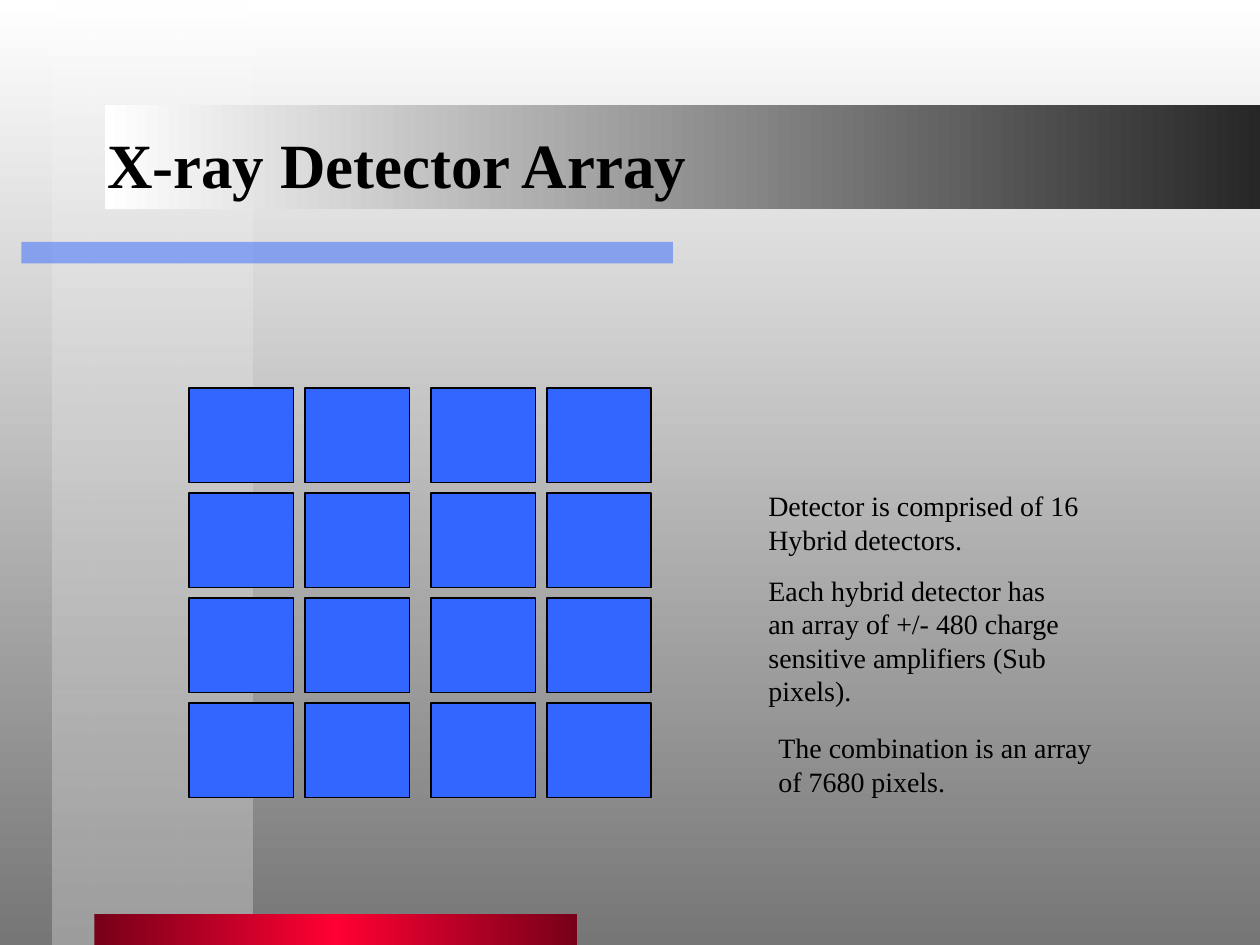
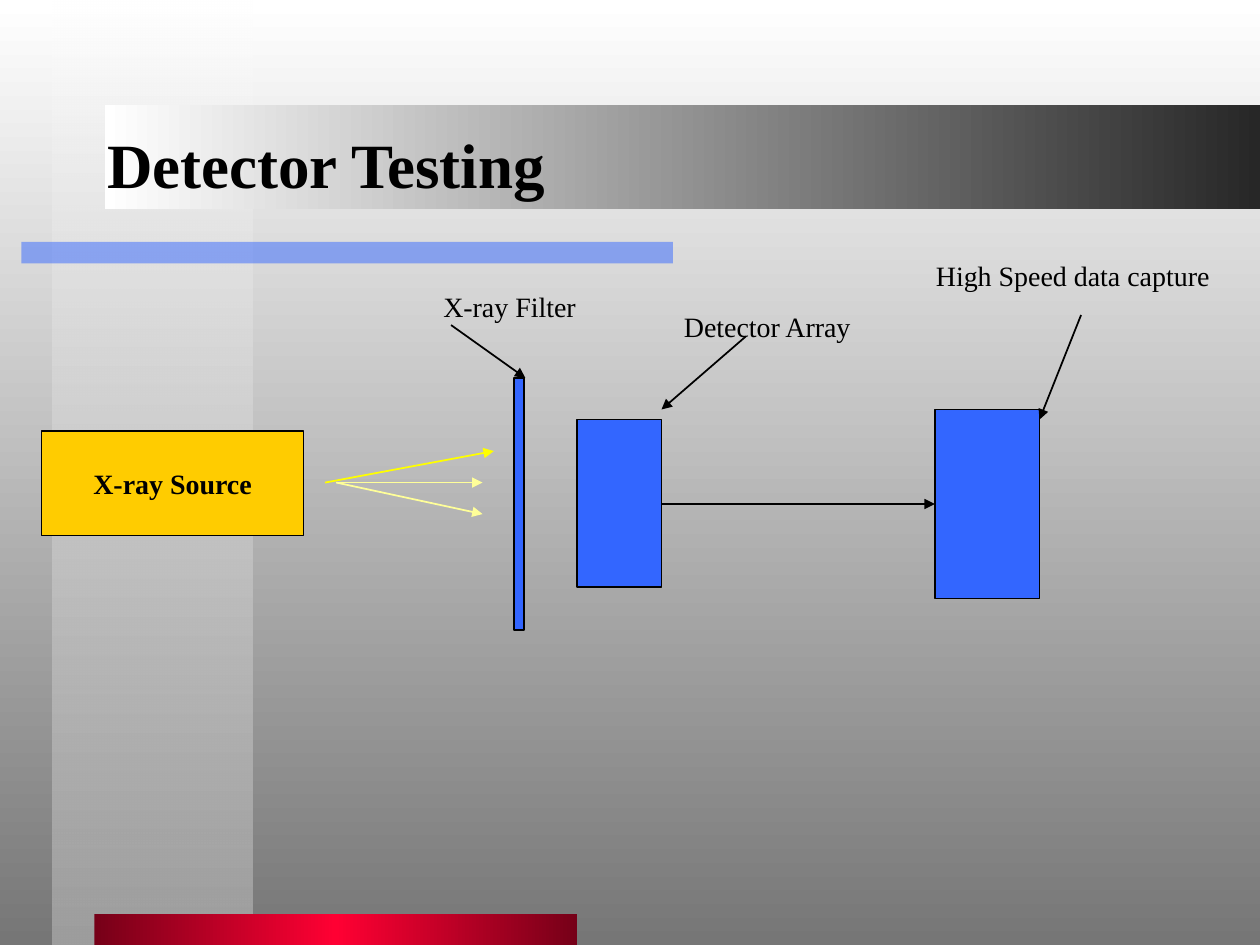
import itertools
from dataclasses import dataclass
from typing import Any, Optional

import lxml.etree
import pptx
import pptx.dml.color
import pptx.enum.shapes
import pptx.enum.text
import pptx.oxml.ns
import pptx.util

Inches = pptx.util.Inches
RGBColor = pptx.dml.color.RGBColor
Align = pptx.enum.text.PP_ALIGN
Anchor = pptx.enum.text.MSO_ANCHOR
qn = pptx.oxml.ns.qn

FONT = "Times New Roman"
BLACK = RGBColor(0x00, 0x00, 0x00)
WHITE = RGBColor(0xFF, 0xFF, 0xFF)
BLUE = RGBColor(0x33, 0x66, 0xFF)
GOLD = RGBColor(0xFF, 0xCC, 0x00)
YELLOW = RGBColor(0xFF, 0xFF, 0x00)
PALE_YELLOW = RGBColor(0xFF, 0xFF, 0x99)
RED = RGBColor(0xFF, 0x00, 0x33)
DARK_RED = RGBColor(0x76, 0x00, 0x18)
CHARCOAL = RGBColor(0x27, 0x27, 0x27)
GREY = RGBColor(0x76, 0x76, 0x76)
LIGHT_GREY = RGBColor(0x9E, 0x9E, 0x9E)

RIGHTWARD = 0
DOWNWARD = 270  # python-pptx measures gradient angles counter-clockwise

GRID_SIZE = 4
CELL_WIDTH, CELL_HEIGHT = 0.83, 0.75
GRID_LEFT, GRID_TOP = 1.5, 3.08
COLUMN_PITCH, ROW_PITCH = 0.92, 2.5 / 3
MIDDLE_GAP = 0.08


@dataclass(frozen=True)
class Box:
    left: float
    top: float
    width: float
    height: float

    def lengths(self) -> tuple:
        return tuple(Inches(n) for n in (self.left, self.top, self.width, self.height))


@dataclass(frozen=True)
class Stop:
    """One colour of a gradient; position and opacity are percentages."""
    position: int
    color: RGBColor
    opacity: int = 100


@dataclass(frozen=True)
class Band:
    box: Box
    stops: tuple[Stop, ...]
    angle: int = RIGHTWARD


@dataclass(frozen=True)
class Label:
    box: Box
    text: str


@dataclass(frozen=True)
class Arrow:
    start: tuple[float, float]
    end: tuple[float, float]
    color: RGBColor = BLACK


BACKGROUND = (Stop(0, WHITE), Stop(100, GREY))
BANDS = (
    Band(Box(0.42, 0, 1.58, 7.5), (Stop(0, WHITE, 50), Stop(100, LIGHT_GREY)), DOWNWARD),
    Band(Box(0.17, 1.92, 5.17, 0.17), (Stop(0, BLUE, 50), Stop(100, BLUE, 50))),
    Band(Box(0.75, 7.25, 3.83, 0.25),
         (Stop(0, DARK_RED), Stop(50, RED), Stop(100, DARK_RED))),
    Band(Box(0.83, 0.83, 9.17, 0.83), (Stop(0, WHITE), Stop(100, CHARCOAL))),
)
TITLE_BOX = Box(0.75, 0.67, 8.5, 1.25)

ARRAY_NOTES = (
    Label(Box(6, 3.83, 3.33, 0.64), "Detector is comprised of 16 Hybrid detectors."),
    Label(Box(6, 4.5, 2.58, 1.17),
          "Each hybrid detector has an array of +/- 480 charge "
          "sensitive amplifiers (Sub pixels)."),
    Label(Box(6.08, 5.75, 2.83, 0.64), "The combination is an array of 7680 pixels."),
)

XRAY_SOURCE = Box(0.33, 3.42, 2.08, 0.83)
FILTER = Box(4.08, 3, 0.08, 2)
DETECTOR = Box(4.58, 3.33, 0.67, 1.33)
DATA_CAPTURE = Box(7.42, 3.25, 0.83, 1.5)
TESTING_LABELS = (
    Label(Box(3.42, 2.25, 1.33, 0.37), "X-ray Filter"),
    Label(Box(5.33, 2.41, 1.67, 0.37), "Detector Array"),
    Label(Box(7.33, 2, 2.5, 0.37), "High Speed data capture"),
)
TESTING_ARROWS = (
    Arrow((2.58, 3.83), (3.92, 3.58), YELLOW),
    Arrow((2.67, 3.83), (3.83, 3.83), PALE_YELLOW),
    Arrow((2.67, 3.83), (3.83, 4.08), PALE_YELLOW),
    Arrow((5.25, 4), (7.42, 4)),
    Arrow((3.58, 2.58), (4.17, 3)),
    Arrow((5.92, 2.67), (5.25, 3.25)),
    Arrow((8.58, 2.5), (8.25, 3.33)),
)


def fill_gradient(fill: Any, owner: Any, stops: tuple[Stop, ...], angle: int) -> None:
    """Give fill, the first gradient inside the owner element, these stops."""
    fill.gradient()
    fill.gradient_angle = angle
    stop_list = next(owner.iter(qn("a:gsLst")))
    for old_stop in list(stop_list):
        stop_list.remove(old_stop)
    for stop in stops:
        entry = lxml.etree.SubElement(stop_list, qn("a:gs"), pos=str(stop.position * 1000))
        color = lxml.etree.SubElement(entry, qn("a:srgbClr"), val=str(stop.color))
        if stop.opacity < 100:
            lxml.etree.SubElement(color, qn("a:alpha"), val=str(stop.opacity * 1000))


def write_text(frame: Any, text: str, *, size: float = 16, bold: bool = False,
               align: Any = Align.LEFT, anchor: Any = Anchor.TOP,
               wrap: bool = True, space_before: float = 0) -> None:
    frame.auto_size = pptx.enum.text.MSO_AUTO_SIZE.NONE
    frame.word_wrap = wrap
    frame.vertical_anchor = anchor
    frame.margin_left = frame.margin_right = Inches(0.1)
    frame.margin_top = frame.margin_bottom = Inches(0.05)
    para = frame.paragraphs[0]
    para.alignment = align
    para.space_before = pptx.util.Pt(space_before)
    span = para.add_run()
    span.text = text
    span.font.name = FONT
    span.font.size = pptx.util.Pt(size)
    span.font.bold = bold
    span.font.color.rgb = BLACK


def add_rectangle(page: Any, box: Box, color: Optional[RGBColor] = None) -> Any:
    """Add a rectangle, filled and outlined in black when a colour is given."""
    shape = page.shapes.add_shape(pptx.enum.shapes.MSO_SHAPE.RECTANGLE, *box.lengths())
    shape.shadow.inherit = False
    if color is None:
        shape.line.fill.background()
    else:
        shape.fill.solid()
        shape.fill.fore_color.rgb = color
        shape.line.color.rgb = BLACK
        shape.line.width = pptx.util.Pt(1)
    return shape


def add_label(page: Any, label: Label) -> None:
    text_box = page.shapes.add_textbox(*label.box.lengths())
    write_text(text_box.text_frame, label.text, space_before=10)


def add_arrow(page: Any, arrow: Arrow) -> None:
    ends = [Inches(n) for n in arrow.start + arrow.end]
    line = page.shapes.add_connector(pptx.enum.shapes.MSO_CONNECTOR.STRAIGHT, *ends)
    line.line.color.rgb = arrow.color
    line.line.width = pptx.util.Pt(1)
    properties = line.line._get_or_add_ln()
    lxml.etree.SubElement(properties, qn("a:tailEnd"), type="triangle")
    lxml.etree.SubElement(properties.getparent(), qn("a:effectLst"))


def add_page(deck: Any, title: str) -> Any:
    page = deck.slides.add_slide(deck.slide_layouts.get_by_name("Title Only"))
    holder = page.shapes.title
    holder.left, holder.top, holder.width, holder.height = TITLE_BOX.lengths()
    write_text(holder.text_frame, title, size=36, bold=True, anchor=Anchor.MIDDLE)
    return page


def move_bands_to_layout(page: Any) -> None:
    """Draw the bands on a page, then hand them to its layout for all pages."""
    layout_tree = page.slide_layout.shapes._spTree
    for band in BANDS:
        shape = add_rectangle(page, band.box)
        fill_gradient(shape.fill, shape.element, band.stops, band.angle)
        layout_tree.append(shape.element)


def draw_detector_array(page: Any) -> None:
    for row, column in itertools.product(range(GRID_SIZE), repeat=2):
        gap = MIDDLE_GAP if column >= GRID_SIZE // 2 else 0
        left = GRID_LEFT + column * COLUMN_PITCH + gap
        top = GRID_TOP + row * ROW_PITCH
        add_rectangle(page, Box(left, top, CELL_WIDTH, CELL_HEIGHT), BLUE)
    for note in ARRAY_NOTES:
        add_label(page, note)


def draw_detector_testing(page: Any) -> None:
    source = add_rectangle(page, XRAY_SOURCE, GOLD)
    write_text(source.text_frame, "X-ray Source", bold=True, align=Align.CENTER,
               anchor=Anchor.MIDDLE, wrap=False)
    for part in (FILTER, DETECTOR, DATA_CAPTURE):
        add_rectangle(page, part, BLUE)
    for label in TESTING_LABELS:
        add_label(page, label)
    for arrow in TESTING_ARROWS:
        add_arrow(page, arrow)


def main() -> None:
    deck = pptx.Presentation()
    deck.slide_width, deck.slide_height = Inches(10), Inches(7.5)
    master = deck.slide_master
    fill_gradient(master.background.fill, master.element, BACKGROUND, DOWNWARD)

    array_page = add_page(deck, "X-ray Detector Array")
    move_bands_to_layout(array_page)
    draw_detector_array(array_page)
    draw_detector_testing(add_page(deck, "Detector Testing"))
    deck.save("out.pptx")


if __name__ == "__main__":
    main()
